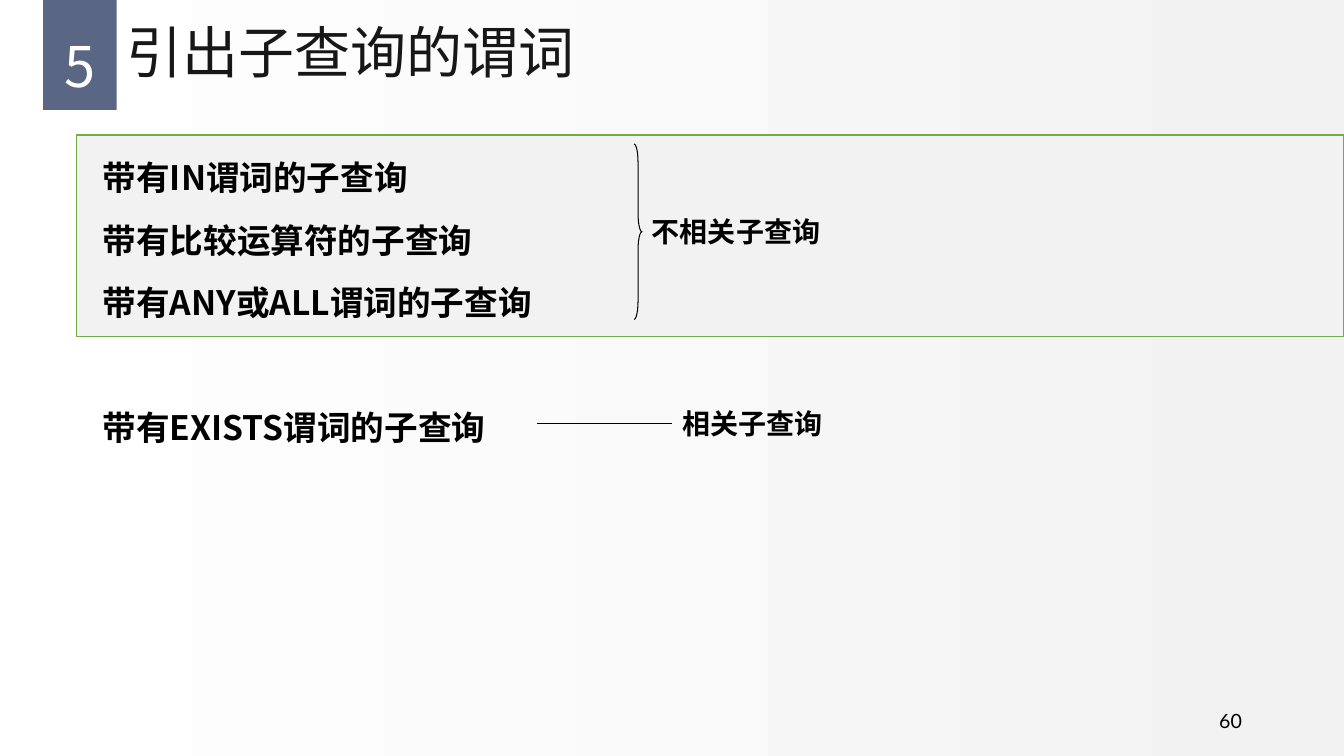
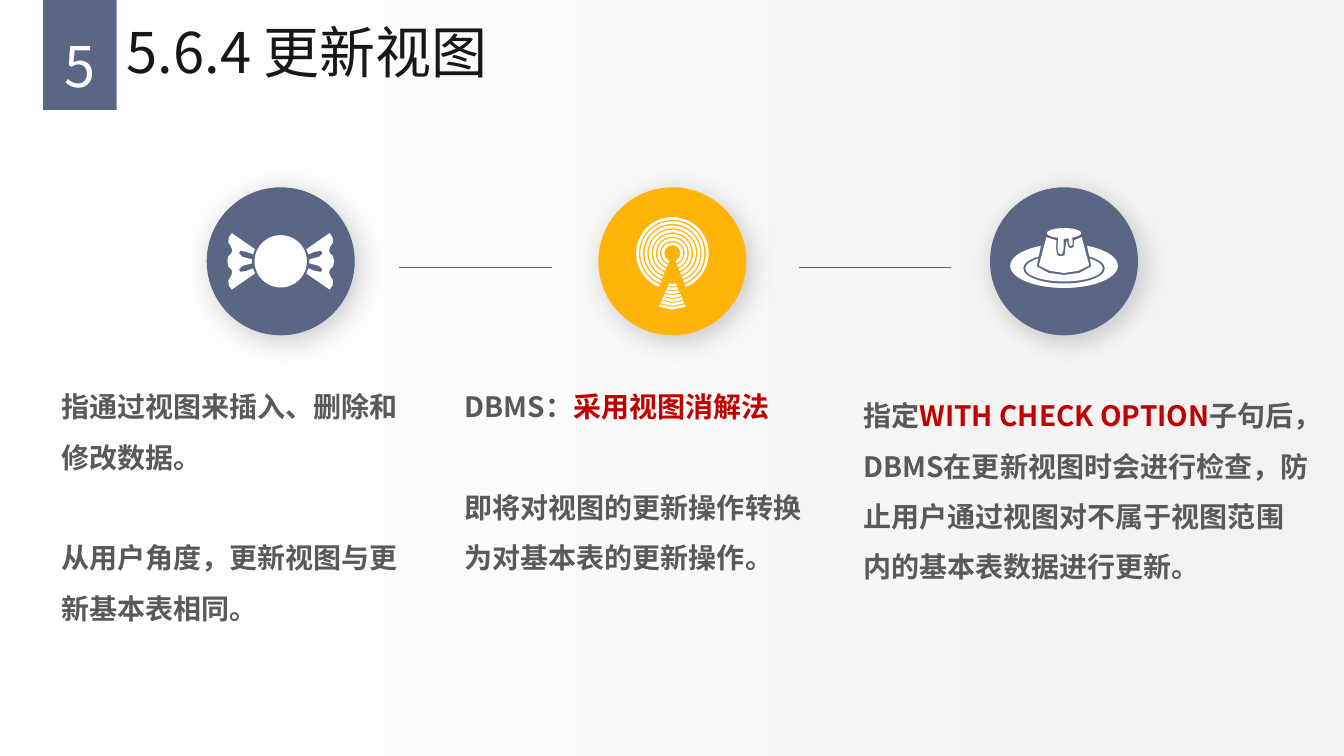
import math

import lxml.etree
import pptx
import pptx.dml.color
import pptx.enum.shapes
import pptx.enum.text
import pptx.oxml.ns
import pptx.util

Cm = pptx.util.Cm
Pt = pptx.util.Pt
RGBColor = pptx.dml.color.RGBColor
SHAPE = pptx.enum.shapes.MSO_SHAPE
ALIGN = pptx.enum.text.PP_ALIGN
ANCHOR = pptx.enum.text.MSO_ANCHOR
qn = pptx.oxml.ns.qn

WHITE = RGBColor(0xFF, 0xFF, 0xFF)
BLACK = RGBColor(0, 0, 0)
PALE = RGBColor(0xF2, 0xF2, 0xF2)
BLUE = RGBColor(0x59, 0x67, 0x84)
AMBER = RGBColor(0xFF, 0xB4, 0x07)
GREEN = RGBColor(0x70, 0xAD, 0x47)
RED = RGBColor(0xC0, 0, 0)
GREY = RGBColor(0x59, 0x59, 0x59)
INK = RGBColor(0x18, 0x17, 0x17)

CJK_FONT = "Noto Sans CJK SC"
LABEL_FONT = "DejaVu Sans"
NUMBER_FONT = "Lato"

SLIDE_WIDTH, SLIDE_HEIGHT = 33.87, 19.05
CIRCLE_SIZE = 3.73
ICON_GRID = 147  # icon units across one circle


def add_text(slide, box, paragraphs, size=20, color=BLACK, font=CJK_FONT, bold=False,
             align=ALIGN.LEFT, anchor=ANCHOR.TOP, line_spacing=1.0, gaps=(), margins=True):
    """Each paragraph is a string or a list of (text, color) runs; gaps are points before each."""
    text_box = slide.shapes.add_textbox(*(Cm(length) for length in box))
    frame = text_box.text_frame
    frame.word_wrap = True
    frame.vertical_anchor = anchor
    if not margins:
        frame.margin_left = frame.margin_right = frame.margin_top = frame.margin_bottom = 0
    for index, content in enumerate(paragraphs):
        paragraph = frame.paragraphs[0] if index == 0 else frame.add_paragraph()
        paragraph.alignment = align
        paragraph.line_spacing = line_spacing
        if index < len(gaps):
            paragraph.space_before = Pt(gaps[index])
        runs = [(content, color)] if isinstance(content, str) else content
        for text, run_color in runs:
            run = paragraph.add_run()
            run.text = text
            run.font.size = Pt(size)
            run.font.bold = bold
            run.font.color.rgb = run_color
            run.font.name = font
            east_asian = lxml.etree.SubElement(run.font._element, qn("a:ea"))
            east_asian.set("typeface", font)


def paint(shape, fill=None, line=None, width=0.75):
    shape.shadow.inherit = False
    if fill is None:
        shape.fill.background()
    else:
        shape.fill.solid()
        shape.fill.fore_color.rgb = fill
    if line is None:
        shape.line.fill.background()
    else:
        shape.line.color.rgb = line
        shape.line.width = Pt(width)
    return shape


def add_shape(slide, kind, box, **look):
    shape = slide.shapes.add_shape(kind, *(Cm(length) for length in box))
    return paint(shape, **look)


def add_rule(slide, left, right, y, color, width):
    rule = slide.shapes.add_connector(
        pptx.enum.shapes.MSO_CONNECTOR.STRAIGHT, Cm(left), Cm(y), Cm(right), Cm(y))
    rule.line.color.rgb = color
    rule.line.width = Pt(width)
    lxml.etree.SubElement(rule._element.spPr, qn("a:effectLst"))


def add_soft_shadow(shape):
    effects = shape._element.spPr.find(qn("a:effectLst"))
    shadow = lxml.etree.SubElement(effects, qn("a:outerShdw"), blurRad=str(Pt(20)),
                                   dist=str(Pt(5)), dir="2700000", algn="tl", rotWithShape="0")
    color = lxml.etree.SubElement(shadow, qn("a:srgbClr"), val="000000")
    lxml.etree.SubElement(color, qn("a:alpha"), val="20000")


class Icon:
    """Draws on a circle, in icon units measured from its centre."""

    def __init__(self, slide, left, top):
        self.slide = slide
        self.center_x = left + CIRCLE_SIZE / 2
        self.center_y = top + CIRCLE_SIZE / 2
        self.unit = CIRCLE_SIZE / ICON_GRID

    def outline(self, *contours, fill=WHITE):
        """One filled shape made of one or more closed contours."""
        builder = None
        for points in contours:
            placed = [(Cm(self.center_x + x * self.unit), Cm(self.center_y + y * self.unit))
                      for x, y in points]
            if builder is None:
                builder = self.slide.shapes.build_freeform(*placed[0])
            else:
                builder.move_to(*placed[0])
            builder.add_line_segments(placed[1:], close=True)
        paint(builder.convert_to_shape(), fill=fill)

    def preset(self, kind, x, y, width, height, fill=WHITE):
        box = (self.center_x + (x - width / 2) * self.unit,
               self.center_y + (y - height / 2) * self.unit,
               width * self.unit, height * self.unit)
        return add_shape(self.slide, kind, box, fill=fill)

    def ellipse(self, x, y, width, height, fill=WHITE):
        self.preset(SHAPE.OVAL, x, y, width, height, fill)

    def open_ring(self, y, radius, thickness, start, end):
        """Angles are degrees, clockwise from the right."""
        ring = self.preset(SHAPE.BLOCK_ARC, 0, y, 2 * radius, 2 * radius)
        ring.adjustments[0] = start * 0.6
        ring.adjustments[1] = end * 0.6
        ring.adjustments[2] = thickness / (2 * radius)


def draw_candy(icon):
    upper = [(28.5, -2), (38, -4.5), (41.5, -8), (40, -10.5), (34, -9.5), (27.5, -7),
             (25.5, -12), (48.5, -28), (51.5, -24), (52, -19), (49.5, -15), (48, -11),
             (49, -8), (52, -5), (53, 0)]
    wrapper = upper + [(x, -y) for x, y in upper[-2::-1]]
    icon.outline(*([(side * x, y) for x, y in wrapper] for side in (1, -1)))
    icon.ellipse(0, 0, 52, 52)


def draw_antenna(icon):
    bars = []
    for index in range(7):
        icon.open_ring(-8, 36 - 4.2 * index, 2.7, 112, 68)
        radius = 33 - 3.8 * index
        angles = [math.radians(angle) for angle in (66, 90, 114)]
        corners = ([(radius, angle) for angle in angles]
                   + [(radius - 2.7, angle) for angle in angles[::-1]])
        bars.append([(r * math.cos(angle), 15 + r * math.sin(angle)) for r, angle in corners])
    icon.outline(*bars)


def draw_pudding(icon):
    icon.ellipse(0, 4.5, 107, 44)
    icon.ellipse(0, 7, 81, 30, fill=BLUE)
    icon.ellipse(0, 7, 77, 26)
    icon.outline([(-27, 5), (-20, -29), (20, -29), (27, 5), (15, 11.5), (0, 13.5),
                  (-15, 11.5)], fill=BLUE)
    icon.outline([(-25, 4), (-17.5, -24), (-7.5, -21), (-8, -12), (-6.5, -6), (-3.5, -5),
                  (0.5, -6), (1.5, -14), (2, -20), (3, -19), (4.5, -14), (6.5, -13),
                  (9.5, -14), (10, -21), (17.5, -24), (25, 4), (14, 9.5), (0, 11.5),
                  (-14, 9.5)])
    icon.ellipse(0, -28, 38, 14, fill=BLUE)
    icon.ellipse(0, -28, 34, 10)
    icon.outline([(-5.5, -27), (-6.5, -12), (-5.5, -8), (-3.5, -7), (-1.5, -8), (-0.5, -12),
                  (-0.5, -22), (4.5, -23), (4.5, -19), (5.5, -16), (6.5, -15), (8.5, -16.5),
                  (8.5, -20), (7.5, -27)])


def add_framed_slide(presentation, title):
    slide = presentation.slides.add_slide(presentation.slide_layouts[6])
    backdrop = slide.background.fill
    backdrop.gradient()
    backdrop.gradient_angle = 0
    for stop, color in zip(backdrop.gradient_stops, (WHITE, PALE)):
        stop.color.rgb = color
    add_shape(slide, SHAPE.RECTANGLE, (1.09, 0, 1.85, 2.77), fill=BLUE)
    add_text(slide, (1.09, 0.28, 1.85, 2), ["5"], size=40, color=WHITE,
             align=ALIGN.CENTER, line_spacing=1.3, margins=False)
    add_text(slide, (2.95, 0, 25.2, 2.79), [title], size=40, color=INK,
             anchor=ANCHOR.MIDDLE, line_spacing=0.9)
    return slide


def add_predicates(slide, left, top):
    add_shape(slide, SHAPE.RECTANGLE, (left, top, SLIDE_WIDTH - left, 5.08),
              fill=PALE, line=GREEN, width=1)
    add_text(slide, (left + 0.41, top + 0.23, 29.2, 13.5),
             ["带有IN谓词的子查询", "带有比较运算符的子查询", "带有ANY或ALL谓词的子查询",
              "带有EXISTS谓词的子查询"],
             size=24, bold=True, line_spacing=1.2, gaps=(0, 10, 10, 54.6))
    brace = add_shape(slide, SHAPE.RIGHT_BRACE, (left + 14.05, top + 0.23, 0.2, 4.42), line=BLACK)
    brace.adjustments[0] = 2.3
    add_rule(slide, left + 11.61, left + 15.01, top + 7.27, BLACK, 0.75)
    for x, y, label in ((14.25, 1.88, "不相关子查询"), (15.01, 6.71, "相关子查询")):
        add_text(slide, (left + x, top + y, 5.8, 1.09), [label], font=LABEL_FONT, bold=True)


def add_view_topic(slide, left, top, color, draw_icon):
    circle = add_shape(slide, SHAPE.OVAL, (left, top, CIRCLE_SIZE, CIRCLE_SIZE), fill=color)
    add_soft_shadow(circle)
    draw_icon(Icon(slide, left, top))


def add_view_columns(slide, left, top):
    pitch = 9.87
    icons = ((BLUE, draw_candy), (AMBER, draw_antenna), (BLUE, draw_pudding))
    for index, (color, draw_icon) in enumerate(icons):
        add_view_topic(slide, left + index * pitch, top, color, draw_icon)
    for start in (4.85, 14.92):
        add_rule(slide, left + start, left + start + 3.84, top + 2.01, BLUE, 0.5)
    texts = (
        (-3.91, 4.55, 9.25, ["指通过视图来插入、删除和修改数据。",
                             "从用户角度，更新视图与更新基本表相同。"]),
        (6.25, 4.55, 9.25, [[("DBMS：", GREY), ("采用视图消解法", RED)],
                            "即将对视图的更新操作转换为对基本表的更新操作。"]),
        (16.3, 4.78, 11.79, [[("指定", GREY), ("WITH CHECK OPTION", RED),
                              ("子句后，DBMS在更新视图时会进行检查，防止用户通过视图"
                               "对不属于视图范围内的基本表数据进行更新。", GREY)]]),
    )
    for x, y, width, paragraphs in texts:
        add_text(slide, (left + x, top + y, width, 6.3), paragraphs, color=GREY, bold=True,
                 line_spacing=1.5, gaps=(0, 36))


def main():
    presentation = pptx.Presentation()
    presentation.slide_width = Cm(SLIDE_WIDTH)
    presentation.slide_height = Cm(SLIDE_HEIGHT)

    predicates = add_framed_slide(presentation, "引出子查询的谓词")
    add_predicates(predicates, 1.93, 3.4)
    add_text(predicates, (23.93, 17.65, 7.62, 1.02), ["60"], size=14, font=NUMBER_FONT,
             align=ALIGN.RIGHT, anchor=ANCHOR.MIDDLE)

    views = add_framed_slide(presentation, "5.6.4 更新视图")
    add_view_columns(views, 5.21, 4.72)

    presentation.save("out.pptx")


if __name__ == "__main__":
    main()
